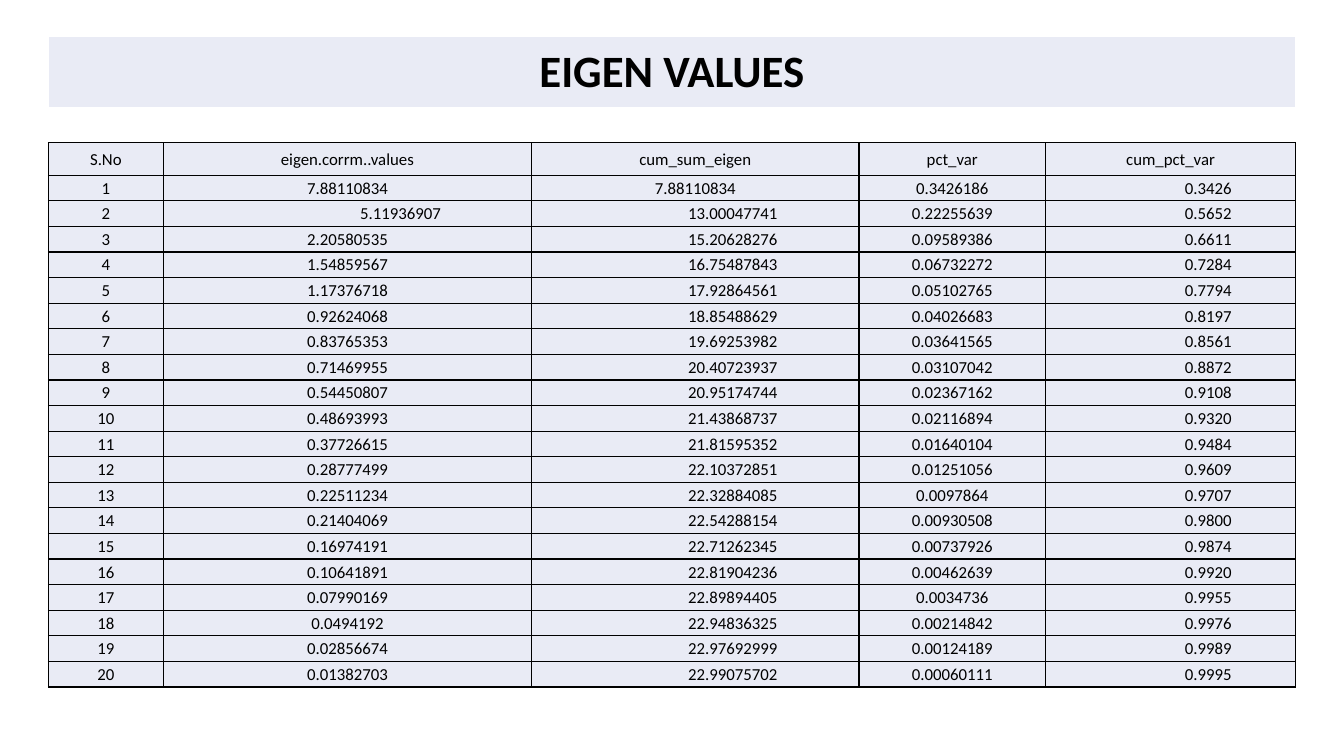
import lxml.etree
import pptx
import pptx.dml.color
import pptx.enum.text
import pptx.oxml.ns
import pptx.util

BLACK = pptx.dml.color.RGBColor(0x00, 0x00, 0x00)
WHITE = pptx.dml.color.RGBColor(0xFF, 0xFF, 0xFF)
PALE_BLUE = pptx.dml.color.RGBColor(0xE9, 0xEB, 0xF5)

deck = pptx.Presentation()
deck.slide_width = pptx.util.Inches(13.33)
deck.slide_height = pptx.util.Inches(7.5)


def share(percent, whole=deck.slide_width):
    """Length as a percentage of the slide's width or height."""
    return pptx.util.Emu(round(whole * percent / 100))


def write(text, cell, size=12, bold=False, indent=0):
    """Centre text in a table cell, pushed right by the indent."""
    cell.margin_left = share(0.08 + indent)
    cell.margin_right = cell.margin_top = share(0.08)
    cell.margin_bottom = 0
    cell.vertical_anchor = pptx.enum.text.MSO_ANCHOR.MIDDLE
    para = cell.text_frame.paragraphs[0]
    para.alignment = pptx.enum.text.PP_ALIGN.CENTER
    span = para.add_run()
    span.text = text
    span.font.name = "Calibri"
    span.font.size = pptx.util.Pt(size)
    span.font.bold = bold
    span.font.color.rgb = BLACK


# Table content
headings = ["S.No", "eigen.corrm..values", "cum_sum_eigen", "pct_var", "cum_pct_var"]
eigen_rows = [
    ("7.88110834", "7.88110834", "0.3426186", "0.3426"),
    ("5.11936907", "13.00047741", "0.22255639", "0.5652"),
    ("2.20580535", "15.20628276", "0.09589386", "0.6611"),
    ("1.54859567", "16.75487843", "0.06732272", "0.7284"),
    ("1.17376718", "17.92864561", "0.05102765", "0.7794"),
    ("0.92624068", "18.85488629", "0.04026683", "0.8197"),
    ("0.83765353", "19.69253982", "0.03641565", "0.8561"),
    ("0.71469955", "20.40723937", "0.03107042", "0.8872"),
    ("0.54450807", "20.95174744", "0.02367162", "0.9108"),
    ("0.48693993", "21.43868737", "0.02116894", "0.9320"),
    ("0.37726615", "21.81595352", "0.01640104", "0.9484"),
    ("0.28777499", "22.10372851", "0.01251056", "0.9609"),
    ("0.22511234", "22.32884085", "0.0097864", "0.9707"),
    ("0.21404069", "22.54288154", "0.00930508", "0.9800"),
    ("0.16974191", "22.71262345", "0.00737926", "0.9874"),
    ("0.10641891", "22.81904236", "0.00462639", "0.9920"),
    ("0.07990169", "22.89894405", "0.0034736", "0.9955"),
    ("0.0494192", "22.94836325", "0.00214842", "0.9976"),
    ("0.02856674", "22.97692999", "0.00124189", "0.9989"),
    ("0.01382703", "22.99075702", "0.00060111", "0.9995"),
]
lines = [headings] + [(str(number), *values) for number, values in enumerate(eigen_rows, 1)]

# Indents that push some numbers right of the column's centre
indents = {(row, 2): 5.6 for row in range(2, len(lines))}
indents.update({(row, 4): 5.6 for row in range(1, len(lines))})
indents[2, 1] = 7.9

# Title band and value table: content, top, column widths, row heights,
# border colour, text format, indents
column_widths = [8.56, 27.39, 24.37, 13.88, 18.61]
row_heights = [4.27] + [3.39] * len(eigen_rows)
grids = [
    ([["EIGEN VALUES"]], 4.75, [sum(column_widths)], [9.45],
     WHITE, {"size": 32, "bold": True}, {}),
    (lines, 18.9, column_widths, row_heights, BLACK, {}, indents),
]

page = deck.slides.add_slide(deck.slide_layouts.get_by_name("Blank"))
for content, top, widths, heights, border_color, text_format, shifts in grids:
    # Grid
    table = page.shapes.add_table(
        len(heights), len(widths), share(3.6), share(top, deck.slide_height),
        share(sum(widths)), share(sum(heights), deck.slide_height),
    ).table
    table.first_row = table.horz_banding = False
    for column, width in zip(table.columns, widths):
        column.width = share(width)
    for row, height in zip(table.rows, heights):
        row.height = share(height, deck.slide_height)

    # Cells with text, borders and fill
    for row, values in enumerate(content):
        for column, text in enumerate(values):
            cell = table.cell(row, column)
            write(text, cell, indent=shifts.get((row, column), 0), **text_format)
            properties = cell._tc.get_or_add_tcPr()
            for side in ("a:lnL", "a:lnR", "a:lnT", "a:lnB"):
                border = lxml.etree.SubElement(
                    properties, pptx.oxml.ns.qn(side), w=str(pptx.util.Pt(1)))
                paint = lxml.etree.SubElement(border, pptx.oxml.ns.qn("a:solidFill"))
                lxml.etree.SubElement(
                    paint, pptx.oxml.ns.qn("a:srgbClr"), val=str(border_color))
            cell.fill.solid()
            cell.fill.fore_color.rgb = PALE_BLUE

deck.save("out.pptx")
